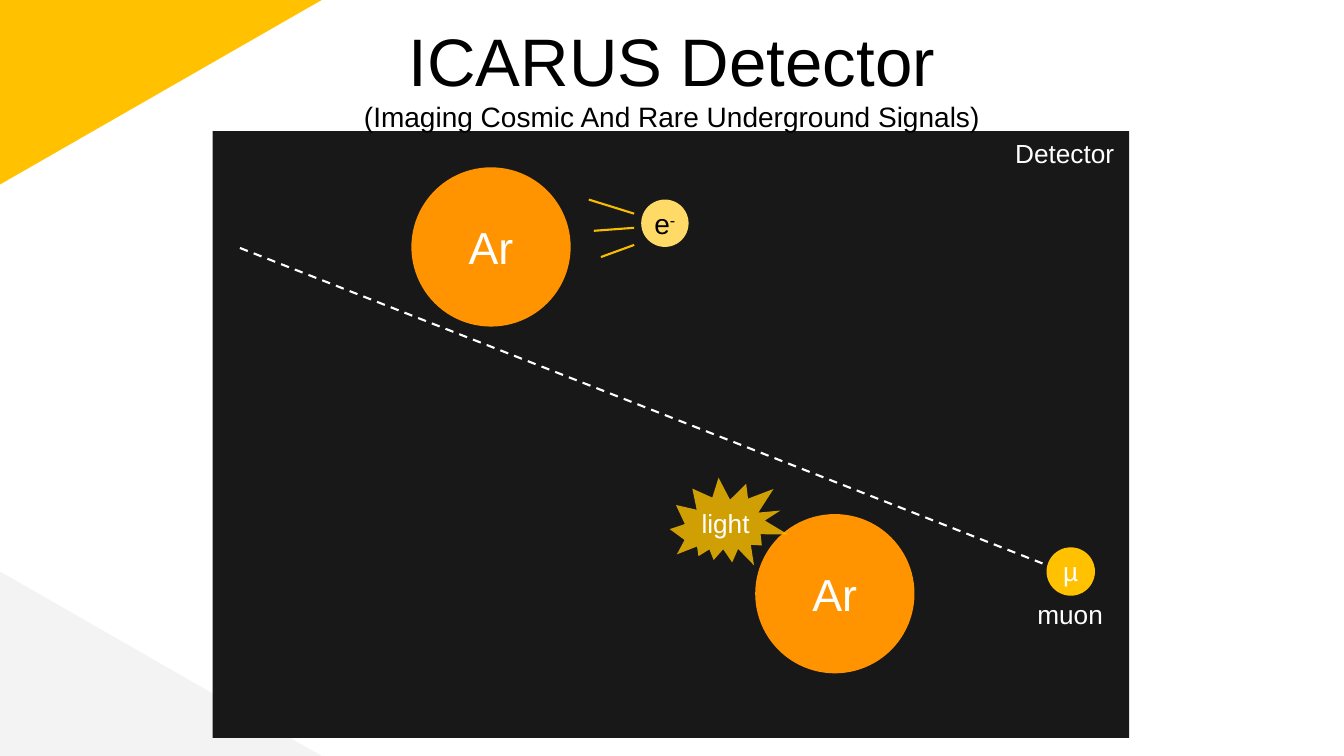
from lxml.etree import SubElement
from pptx import Presentation
from pptx.dml.color import RGBColor
from pptx.enum.dml import MSO_LINE_DASH_STYLE as Dash
from pptx.enum.shapes import MSO_CONNECTOR as Connector, MSO_SHAPE as Shape
from pptx.enum.text import MSO_ANCHOR as Anchor, MSO_AUTO_SIZE as AutoSize, PP_ALIGN as Align
from pptx.oxml.ns import qn
from pptx.util import Inches, Pt

WHITE, BLACK, YELLOW, ORANGE = "FFFFFF", "000000", "FFC100", "FF9300"
LABEL_SIZE = 18.7


def color(value):
    return RGBColor.from_string(value)


def set_all(target, values):
    for name, value in values.items():
        setattr(target, name, value)


def add_run(para, text, size, text_color):
    span = para.add_run()
    span.text = text
    set_all(span.font, {"name": "Arial", "size": Pt(size)})
    span.font.color.rgb = color(text_color)
    return span


def add_shape(page, kind, left, top, width, height, fill):
    shape = page.shapes.add_shape(
        kind, Inches(left), Inches(top), Inches(width), Inches(height))
    shape.shadow.inherit = False
    shape.fill.solid()
    shape.fill.fore_color.rgb = color(fill)
    shape.line.fill.background()
    return shape


def add_particle(page, left, top, diameter, fill, text, size, text_color=WHITE):
    circle = add_shape(page, Shape.OVAL, left, top, diameter, diameter, fill)
    frame = circle.text_frame
    set_all(frame, {"margin_left": 0, "margin_right": 0, "margin_top": 0,
                    "margin_bottom": 0, "vertical_anchor": Anchor.MIDDLE})
    para = frame.paragraphs[0]
    para.alignment = Align.CENTER
    add_run(para, text, size, text_color)
    return para


def add_line(page, start, end, line_color, dash=None):
    points = [Inches(value) for value in (*start, *end)]
    line = page.shapes.add_connector(Connector.STRAIGHT, *points)
    set_all(line.line, {"width": Pt(1.5), "dash_style": dash})
    line.line.color.rgb = color(line_color)
    SubElement(line.element.spPr, qn("a:effectLst"))


def add_label(page, left, top, width, text):
    box = page.shapes.add_textbox(
        Inches(left), Inches(top), Inches(width), Inches(0.42))
    set_all(box.text_frame, {"word_wrap": False,
                             "auto_size": AutoSize.SHAPE_TO_FIT_TEXT})
    add_run(box.text_frame.paragraphs[0], text, LABEL_SIZE, WHITE)


def add_title(page, title, subtitle):
    box = page.shapes.add_textbox(
        Inches(0.76), Inches(0.02), Inches(11.81), Inches(0.84))
    frame = box.text_frame
    set_all(frame, {"word_wrap": True, "margin_top": Inches(0.17)})
    para = frame.paragraphs[0]
    para.alignment = Align.CENTER
    add_run(para, title, 48, BLACK)
    para.add_line_break()
    add_run(para, subtitle, 20, BLACK)


def add_corners(page):
    upper = add_shape(page, Shape.RIGHT_TRIANGLE, 0, 0, 3.19, 1.83, YELLOW)
    upper.rotation = 180
    upper.element.spPr.get_or_add_xfrm().set("flipH", "1")
    add_shape(page, Shape.RIGHT_TRIANGLE, 0, 5.67, 3.19, 1.83, "F3F3F3")


def add_flash(page):
    flash = add_shape(page, Shape.EXPLOSION2, 6.68, 4.68, 1.11, 1.04, YELLOW)
    flash.rotation = 29.9
    fill_color = flash.element.spPr.find(f"{qn('a:solidFill')}/{qn('a:srgbClr')}")
    SubElement(fill_color, qn("a:alpha"), val="80000")
    add_label(page, 6.86, 4.98, 0.68, "light")


def main():
    deck = Presentation()
    set_all(deck, {"slide_width": Inches(13.33), "slide_height": Inches(7.5)})
    page = deck.slides.add_slide(deck.slide_layouts[6])

    # Background corners and detector volume
    add_corners(page)
    add_shape(page, Shape.RECTANGLE, 2.11, 1.3, 9.09, 6.02, "181818")

    # Muon track and argon atoms
    add_particle(page, 4.08, 1.66, 1.58, ORANGE, "Ar", 32)
    add_line(page, (2.38, 2.46), (10.34, 5.59), WHITE, Dash.DASH)
    add_particle(page, 10.38, 5.43, 0.48, YELLOW, "µ", LABEL_SIZE)
    add_particle(page, 7.49, 5.1, 1.58, ORANGE, "Ar", 32)

    # Ejected electron with motion lines
    electron = add_particle(page, 6.36, 1.98, 0.47, "FFDA66", "e", 20, BLACK)
    charge = add_run(electron, "-", 20, BLACK)
    charge.font._element.set("baseline", "30000")
    for start, end_y in (((5.84, 1.98), 2.12), ((5.89, 2.29), 2.26), ((5.96, 2.55), 2.43)):
        add_line(page, start, (6.29, end_y), "F9BD00")

    # Light flash, labels and title
    add_label(page, 9.97, 1.31, 1.19, "Detector")
    add_flash(page)
    add_title(page, "ICARUS Detector", "(Imaging Cosmic And Rare Underground Signals)")
    add_label(page, 10.19, 5.89, 0.86, "muon")

    deck.save("out.pptx")


if __name__ == "__main__":
    main()
